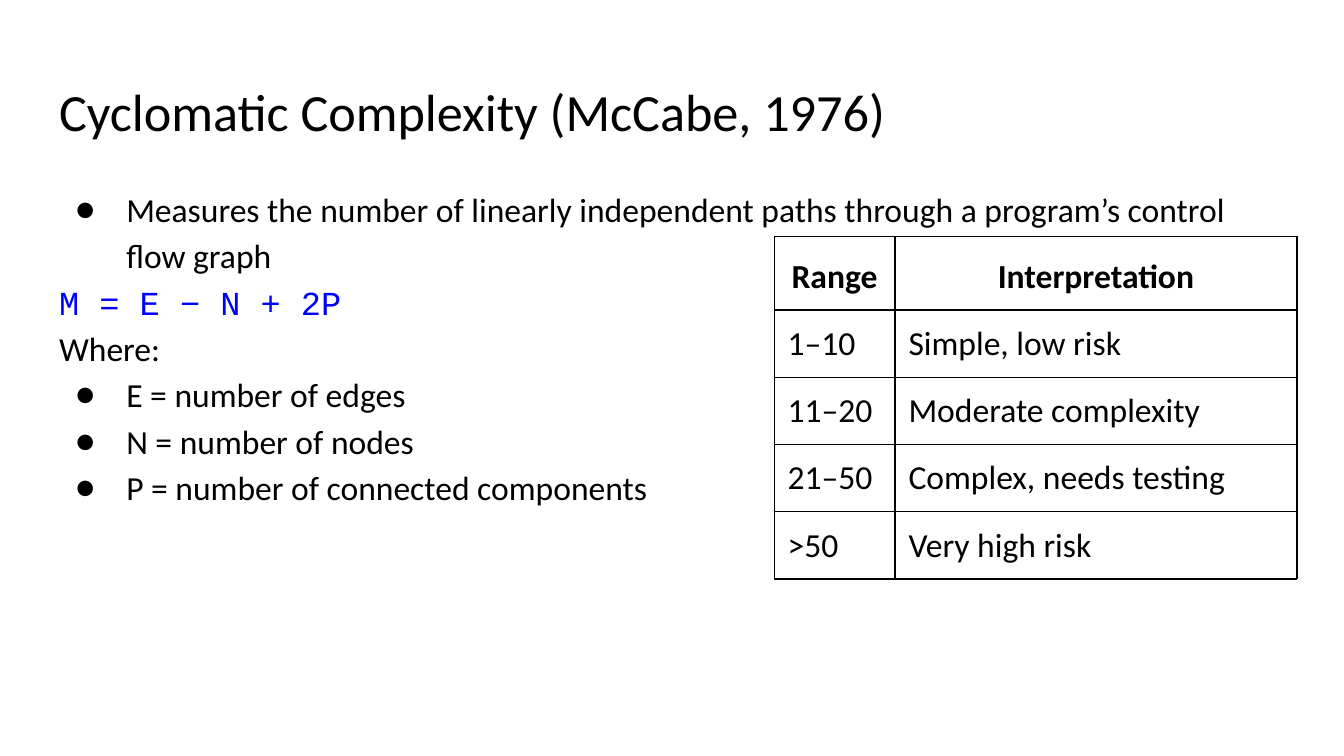
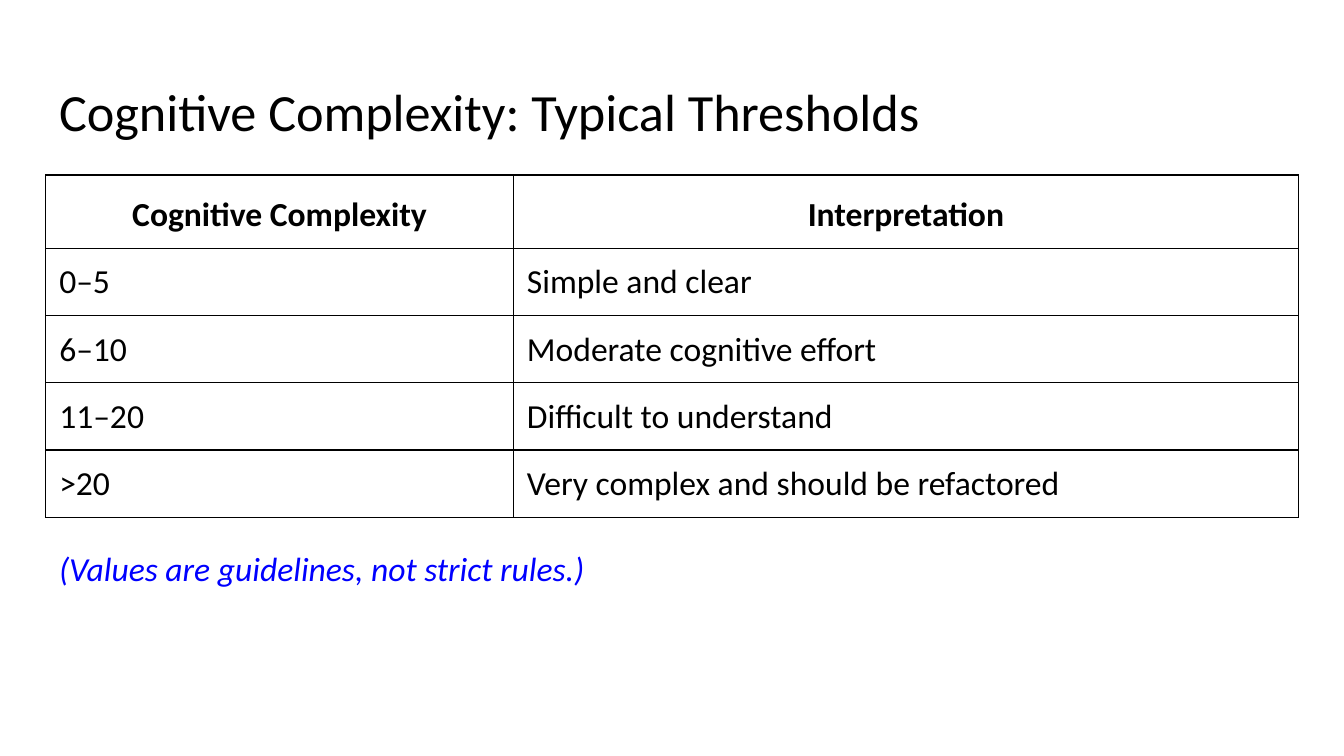
from dataclasses import dataclass
from typing import Any

from lxml import etree
from pptx import Presentation, util as u
from pptx.dml.color import RGBColor
from pptx.enum import text as t
from pptx.oxml import ns

WIDE = 10
HIGH = WIDE * 9 / 16
BLACK, BLUE = "000000", "0000FF"
FONT, CODE = "Calibri", "Courier New"
PAD = u.Inches(0.1)
LEFT, SPAN = 3.41, 93.2  # shared margin and text width, percent of slide width
ROW = 3.91  # least row height, percent of slide height; text grows it


@dataclass(frozen=True)
class Box:
    """A place on the slide, in percent of its width and height."""
    x: float
    y: float
    w: float
    h: float


@dataclass(frozen=True)
class Line:
    words: str
    bullet: bool = False
    font: str = FONT
    color: str = BLACK


@dataclass(frozen=True)
class Grid:
    x: float
    y: float
    cols: tuple[float, ...]
    rows: tuple[tuple[str, ...], ...]


TITLE = Box(LEFT, 8.65, SPAN, 11.91)
BODY = Box(LEFT, 22.4, SPAN, 46.22)
NOTE = Box(LEFT, 69.93, SPAN, 8.89)

METRIC = (
    Line("Measures the number of linearly independent paths through "
         "a program’s control flow graph", bullet=True),
    Line("M = E − N + 2P", font=CODE, color=BLUE),
    Line("Where:"),
    Line("E = number of edges", bullet=True),
    Line("N = number of nodes", bullet=True),
    Line("P = number of connected components", bullet=True),
)

RISKS = Grid(57.6, 31.3, (9, 29.9), (
    ("Range", "Interpretation"),
    ("1–10", "Simple, low risk"),
    ("11–20", "Moderate complexity"),
    ("21–50", "Complex, needs testing"),
    (">50", "Very high risk"),
))

LEVELS = Grid(LEFT, 23.15, (34.8, 58.4), (
    ("Cognitive Complexity", "Interpretation"),
    ("0–5", "Simple and clear"),
    ("6–10", "Moderate cognitive effort"),
    ("11–20", "Difficult to understand"),
    (">20", "Very complex and should be refactored"),
))


def across(share: float) -> int:
    return u.Inches(WIDE * share / 100)


def down(share: float) -> int:
    return u.Inches(HIGH * share / 100)


def paint(target: Any, color: str) -> None:
    target.rgb = RGBColor.from_string(color)


def write(para: Any, words: str, *, size: float = 18, font: str = FONT,
          color: str = BLACK, bold: bool = False, italic: bool = False,
          center: bool = False, lead: float | None = None,
          gap: float | None = None, bullet: bool = False) -> None:
    """Fill a paragraph; lead is line spacing, gap the points around it."""
    run = para.add_run()
    run.text = words
    run.font.size, run.font.name = u.Pt(size), font
    run.font.bold, run.font.italic = bold, italic
    paint(run.font.color, color)
    para.alignment = t.PP_ALIGN.CENTER if center else t.PP_ALIGN.LEFT
    if lead is not None:
        para.line_spacing = lead
    if gap is not None:
        para.space_before = para.space_after = u.Pt(gap)
    if bullet:
        mark(para, color)


def mark(para: Any, color: str) -> None:
    """Give a paragraph a hanging round bullet."""
    props = para._p.get_or_add_pPr()
    props.set("marL", str(u.Inches(0.5)))
    props.set("indent", str(u.Inches(-0.38)))
    tint = etree.SubElement(props, ns.qn("a:buClr"))
    etree.SubElement(tint, ns.qn("a:srgbClr"), val=color)
    etree.SubElement(props, ns.qn("a:buFont"), typeface=FONT)
    etree.SubElement(props, ns.qn("a:buChar"), char="●")


def frame(slide: Any, box: Box) -> Any:
    """Add a wrapping text box and return its text frame."""
    shape = slide.shapes.add_textbox(
        across(box.x), down(box.y), across(box.w), down(box.h))
    area = shape.text_frame
    area.word_wrap = True
    area.auto_size = t.MSO_AUTO_SIZE.SHAPE_TO_FIT_TEXT
    area.margin_left = area.margin_right = PAD
    area.margin_top = area.margin_bottom = PAD
    return area


def border(cell: Any) -> None:
    props = cell._tc.get_or_add_tcPr()
    for place, side in enumerate(("lnL", "lnR", "lnT", "lnB")):
        edge = etree.Element(ns.qn(f"a:{side}"), w=str(u.Pt(0.75)))
        fill = etree.SubElement(edge, ns.qn("a:solidFill"))
        etree.SubElement(fill, ns.qn("a:srgbClr"), val=BLACK)
        props.insert(place, edge)


def table(slide: Any, grid: Grid) -> None:
    count = len(grid.rows)
    sheet = slide.shapes.add_table(
        count, len(grid.cols), across(grid.x), down(grid.y),
        across(sum(grid.cols)), down(ROW * count)).table
    sheet.first_row = sheet.horz_banding = False
    for col, width in zip(sheet.columns, grid.cols):
        col.width = across(width)
    for i, row in enumerate(grid.rows):
        head = i == 0
        for j, words in enumerate(row):
            cell = sheet.cell(i, j)
            cell.margin_left = cell.margin_right = PAD
            cell.margin_top = cell.margin_bottom = PAD
            cell.fill.background()
            border(cell)
            write(cell.text_frame.paragraphs[0], words, bold=head,
                  center=head, lead=1.15 if head else None)


def start(deck: Any, title: str) -> Any:
    """Add a blank slide with the shared title style."""
    slide = deck.slides.add_slide(deck.slide_layouts[6])
    write(frame(slide, TITLE).paragraphs[0], title, size=28)
    return slide


def main() -> None:
    deck = Presentation()
    deck.slide_width, deck.slide_height = u.Inches(WIDE), u.Inches(HIGH)

    slide = start(deck, "Cyclomatic Complexity (McCabe, 1976)")
    body = frame(slide, BODY)
    for i, line in enumerate(METRIC):
        para = body.add_paragraph() if i else body.paragraphs[0]
        write(para, line.words, font=line.font, color=line.color,
              bullet=line.bullet, lead=1.15)
    table(slide, RISKS)

    slide = start(deck, "Cognitive Complexity: Typical Thresholds")
    table(slide, LEVELS)
    write(frame(slide, NOTE).paragraphs[0],
          "(Values are guidelines, not strict rules.)",
          color=BLUE, italic=True, lead=1.15, gap=12)

    deck.save("out.pptx")


if __name__ == "__main__":
    main()
